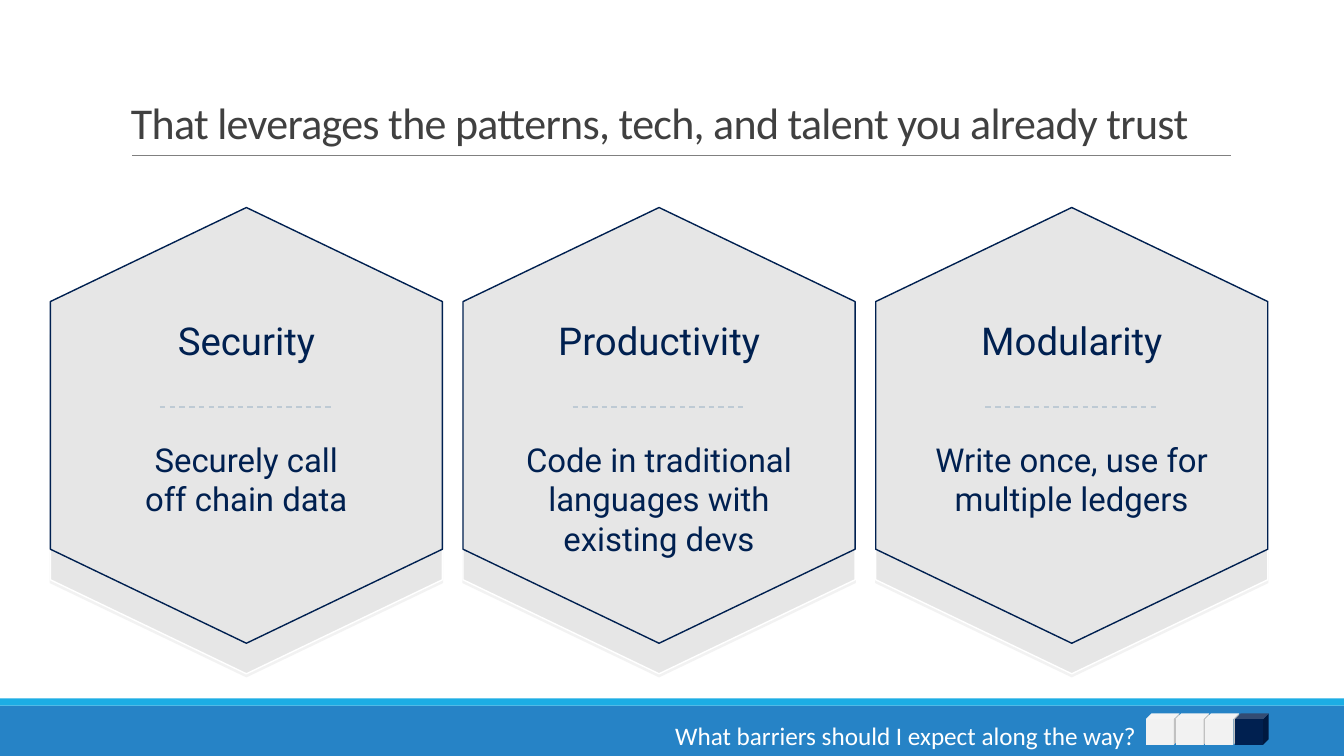
from lxml import etree
from pptx import Presentation
from pptx.dml.color import RGBColor
from pptx.enum.dml import MSO_LINE
from pptx.enum.shapes import MSO_CONNECTOR, MSO_SHAPE
from pptx.enum.text import MSO_ANCHOR, PP_ALIGN
from pptx.oxml.ns import qn
from pptx.util import Cm, Pt

STRAIGHT = MSO_CONNECTOR.STRAIGHT
RECTANGLE, CUBE = MSO_SHAPE.RECTANGLE, MSO_SHAPE.CUBE
TOP, BOTTOM = MSO_ANCHOR.TOP, MSO_ANCHOR.BOTTOM
LEFT, CENTER = PP_ALIGN.LEFT, PP_ALIGN.CENTER
DASH = MSO_LINE.DASH

COLORS = {
    "navy": "002050",
    "bar": "2683C6",
    "stripe": "1CADE4",
    "hexagon": "E6E6E6",
    "pale": "F2F2F2",
    "white": "FFFFFF",
    "title": "404040",
    "rule": "808080",
    "dash": "BECAD4",
}
RGB = {name: RGBColor.from_string(value) for name, value in COLORS.items()}


def write(shape, text, size, font, color, align=CENTER, anchor=TOP, wrap=True):
    frame = shape.text_frame
    frame.text = text
    frame.word_wrap = wrap
    frame.vertical_anchor = anchor
    paragraph = frame.paragraphs[0]
    paragraph.alignment = align
    for run in paragraph.runs:
        run.font.size = Pt(size)
        run.font.name = font
        run.font.color.rgb = RGB[color]
    return paragraph


def add_rule(x, y, length, color, width):
    rule = slide.shapes.add_connector(STRAIGHT, Cm(x), Cm(y), Cm(x + length), Cm(y))
    rule.line.color.rgb = RGB[color]
    rule.line.width = Pt(width)
    etree.SubElement(rule._element.spPr, qn("a:effectLst"))
    return rule


presentation = Presentation()
presentation.slide_width = Cm(33.87)
presentation.slide_height = Cm(19.05)
slide = presentation.slides.add_slide(presentation.slide_layouts[6])

for top, height, color in [(17.78, 1.27, "bar"), (17.6, 0.18, "stripe")]:
    band = slide.shapes.add_shape(RECTANGLE, 0, Cm(top), Cm(33.87), Cm(height))
    band.shadow.inherit = False
    band.fill.solid()
    band.fill.fore_color.rgb = RGB[color]
    band.line.fill.background()

add_rule(3.33, 3.91, 27.68, "rule", 0.5)

title = slide.shapes.add_textbox(Cm(3.05), Cm(0.53), Cm(27.94), Cm(3.35))
title_line = write(title, "That leverages the patterns, tech, and talent you already trust",
                   31.4, "Calibri", "title", LEFT, BOTTOM)
title_line.line_spacing = 0.85
title_line.runs[0].font._element.set("spc", "-50")

pillars = [
    ("Security", "Securely call\voff chain data"),
    ("Productivity", "Code in traditional languages with\vexisting devs"),
    ("Modularity", "Write once, use for multiple ledgers"),
]
hexagon_width, hexagon_height, shoulder = 9.88, 10.98, 2.37
hexagon_top, pillar_pitch, drop = 5.23, 10.4, 0.77

for index, (heading, benefit) in enumerate(pillars):
    left = 1.27 + index * pillar_pitch
    right = left + hexagon_width
    center = left + hexagon_width / 2

    for top, outline in [(hexagon_top + drop, "white"), (hexagon_top, "navy")]:
        bottom = top + hexagon_height
        corners = [
            (right, top + shoulder),
            (right, bottom - shoulder),
            (center, bottom),
            (left, bottom - shoulder),
            (left, top + shoulder),
        ]
        builder = slide.shapes.build_freeform(Cm(center), Cm(top))
        builder.add_line_segments([(Cm(x), Cm(y)) for x, y in corners])
        hexagon = builder.convert_to_shape()
        hexagon.shadow.inherit = False
        hexagon.fill.solid()
        hexagon.fill.fore_color.rgb = RGB["hexagon"]
        hexagon.line.color.rgb = RGB[outline]
        hexagon.line.width = Pt(1)

        if outline == "white":
            effects = hexagon._element.spPr.find(qn("a:effectLst"))
            shadow = etree.SubElement(effects, qn("a:outerShdw"), blurRad="0",
                                      dist=str(Pt(2)), dir="5400000")
            etree.SubElement(shadow, qn("a:srgbClr"), val=COLORS["pale"])
        else:
            write(hexagon, benefit, 23.5, "Roboto", "navy")
            hexagon.text_frame.margin_top = Cm(5.84)

    add_rule(center - 2.18, 10.26, 4.36, "dash", 1).line.dash_style = DASH

    label = slide.shapes.add_textbox(Cm(center - 2.97), Cm(7.87), Cm(5.94), Cm(1.45))
    write(label, heading, 27.4, "Roboto", "navy")

progress = slide.shapes.add_group_shape()
for index, color in enumerate(["pale", "pale", "pale", "navy"]):
    step = progress.shapes.add_shape(CUBE, Cm(28.88 + index * 0.75), Cm(17.98),
                                     Cm(0.84), Cm(0.79))
    step.adjustments[0] = 0.175
    step.shadow.inherit = False
    step.fill.solid()
    step.fill.fore_color.rgb = RGB[color]
    step.line.fill.background()

question = slide.shapes.add_textbox(Cm(16.69), Cm(18.03), Cm(12.27), Cm(1.02))
write(question, "What barriers should I expect along the way?", 18, "Calibri", "white",
      wrap=False).space_after = Pt(6)

presentation.save("out.pptx")
